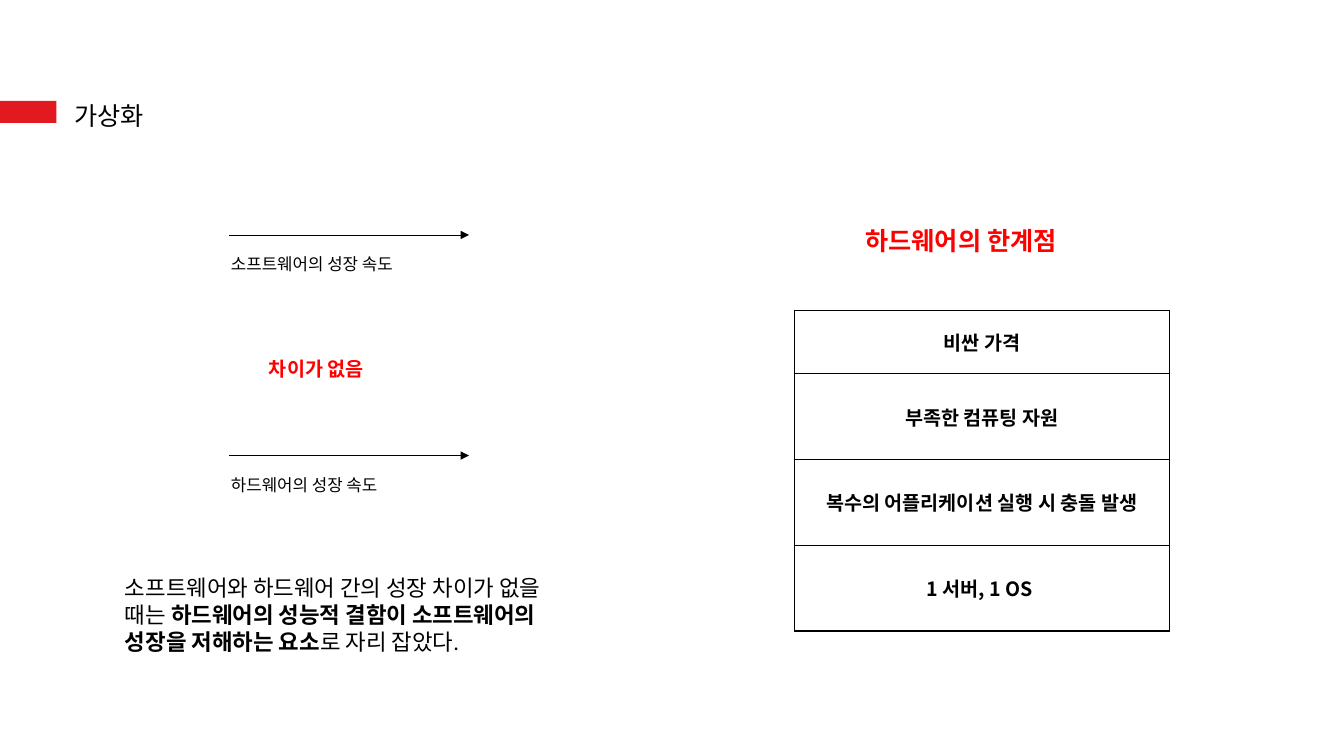
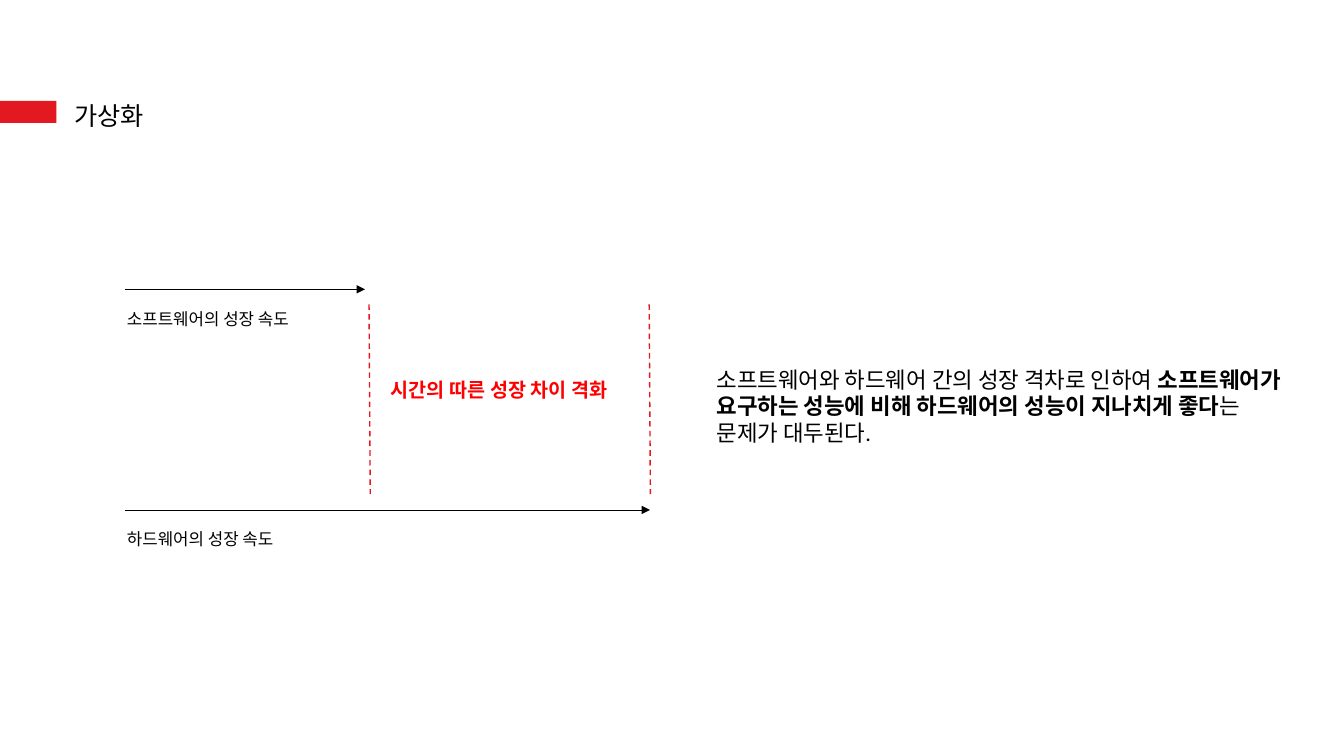
"""Build two slides on virtualization and the growth of software and hardware."""
from dataclasses import dataclass

import lxml.etree
import pptx
import pptx.dml.color
import pptx.enum.dml
import pptx.enum.shapes
import pptx.enum.text
import pptx.oxml.ns
import pptx.util

Cm = pptx.util.Cm
Pt = pptx.util.Pt
RGB = pptx.dml.color.RGBColor
qn = pptx.oxml.ns.qn


@dataclass(frozen=True)
class Theme:
    black: RGB = RGB(0x00, 0x00, 0x00)
    accent: RGB = RGB(0xE3, 0x19, 0x21)
    emphasis: RGB = RGB(0xFF, 0x00, 0x00)
    font: str = "Calibri"
    korean_font: str = "Noto Sans CJK KR"
    title_size: int = 18
    body_size: int = 16
    strong_size: int = 14
    label_size: int = 12
    arrow_width: float = 0.5
    rule_width: float = 1


THEME = Theme()


@dataclass(frozen=True)
class Run:
    text: str
    bold: bool = False
    font: str = THEME.font


@dataclass(frozen=True)
class Box:
    left: float
    top: float
    width: float
    height: float
    runs: tuple[Run, ...]
    size: int
    color: RGB = THEME.black


@dataclass(frozen=True)
class GrowthArrow:
    left: float
    top: float
    length: float
    label: str


ARROW_GAP = 5.56
SHORT_ARROW = 6.05
LONG_ARROW = 13.23
SOFTWARE = "소프트웨어의 성장 속도"
HARDWARE = "하드웨어의 성장 속도"
TITLE = Box(1.63, 2.41, 7.62, 1.02, (Run("가상화"),), THEME.title_size)

LIMITS = (
    Run("비싼 가격", True, THEME.korean_font),
    Run("부족한 컴퓨팅 자원", True, THEME.korean_font),
    Run("복수의 어플리케이션 실행 시 충돌 발생", True),
    Run("1 서버, 1 OS ", True, THEME.korean_font),
)
LIMIT_ROWS = (1.6, 2.16, 2.16, 2.16)

EQUAL_GROWTH = (
    Box(2.9, 14.35, 12.09, 2.31, (
        Run("소프트웨어와 하드웨어 간의 성장 차이가 없을 때는 "),
        Run("하드웨어의 성능적 결함이 소프트웨어의 성장을 저해하는 요소", True),
        Run("로 자리 잡았다."),
    ), THEME.body_size),
    Box(6.53, 8.86, 4.57, 0.86, (Run("차이가 없음", True),),
        THEME.strong_size, THEME.emphasis),
    Box(21.56, 5.56, 7.82, 1.02, (Run("하드웨어의 한계점", True),),
        THEME.title_size, THEME.emphasis),
)
GROWTH_GAP = (
    Box(17.81, 9.09, 14.94, 2.31, (
        Run("소프트웨어와 하드웨어 간의 성장 격차로 인하여 "),
        Run("소프트웨어가 요구하는 성능에 비해 하드웨어의 성능이 지나치게 좋다", True),
        Run("는 문제가 대두된다."),
    ), THEME.body_size),
    Box(9.6, 9.4, 6.45, 0.86, (Run("시간의 따른 성장 차이 격화", True),),
        THEME.strong_size, THEME.emphasis),
)


def add_run(p, run: Run, size: int, color: RGB) -> None:
    r = p.add_run()
    r.text = run.text
    r.font.name = run.font
    r.font.size = Pt(size)
    r.font.bold = run.bold
    r.font.color.rgb = color
    ea = lxml.etree.Element(qn("a:ea"), typeface=THEME.korean_font)
    r.font._element.find(qn("a:latin")).addnext(ea)


def add_text(s, box: Box) -> None:
    sp = s.shapes.add_textbox(Cm(box.left), Cm(box.top), Cm(box.width), Cm(box.height))
    tf = sp.text_frame
    tf.word_wrap = True
    tf.auto_size = pptx.enum.text.MSO_AUTO_SIZE.SHAPE_TO_FIT_TEXT
    for run in box.runs:
        add_run(tf.paragraphs[0], run, box.size, box.color)


def add_line(s, x1: float, y1: float, x2: float, y2: float, color: RGB, width: float):
    line = s.shapes.add_connector(
        pptx.enum.shapes.MSO_CONNECTOR.STRAIGHT, Cm(x1), Cm(y1), Cm(x2), Cm(y2))
    line.line.color.rgb = color
    line.line.width = Pt(width)
    lxml.etree.SubElement(line._element.spPr, qn("a:effectLst"))
    return line


def add_growth_arrow(s, arrow: GrowthArrow) -> None:
    line = add_line(s, arrow.left, arrow.top, arrow.left + arrow.length, arrow.top,
                    THEME.black, THEME.arrow_width)
    ln = line._element.spPr.find(qn("a:ln"))
    lxml.etree.SubElement(ln, qn("a:tailEnd"), type="triangle")
    add_text(s, Box(arrow.left - 0.2, arrow.top + 0.36, 5.23, 0.76,
                    (Run(arrow.label),), THEME.label_size))


def add_growth_pair(s, left: float, top: float, hardware_length: float) -> None:
    add_growth_arrow(s, GrowthArrow(left, top, SHORT_ARROW, SOFTWARE))
    add_growth_arrow(s, GrowthArrow(left, top + ARROW_GAP, hardware_length, HARDWARE))


def add_borders(cell) -> None:
    tcPr = cell._tc.get_or_add_tcPr()
    for side in ("a:lnL", "a:lnR", "a:lnT", "a:lnB"):
        ln = lxml.etree.SubElement(tcPr, qn(side), w=str(Pt(THEME.rule_width)))
        fill = lxml.etree.SubElement(ln, qn("a:solidFill"))
        lxml.etree.SubElement(fill, qn("a:srgbClr"), val=str(THEME.black))


def add_limits_table(s) -> None:
    table = s.shapes.add_table(len(LIMITS), 1, Cm(20.02), Cm(7.82),
                               Cm(9.45), Cm(sum(LIMIT_ROWS))).table
    table.first_row = False
    table.horz_banding = False
    for i, (run, height) in enumerate(zip(LIMITS, LIMIT_ROWS)):
        table.rows[i].height = Cm(height)
        cell = table.cell(i, 0)
        add_borders(cell)
        cell.fill.background()
        cell.vertical_anchor = pptx.enum.text.MSO_ANCHOR.MIDDLE
        p = cell.text_frame.paragraphs[0]
        p.alignment = pptx.enum.text.PP_ALIGN.CENTER
        add_run(p, run, THEME.strong_size, THEME.black)


def add_slide(prs, boxes: tuple[Box, ...]):
    s = prs.slides.add_slide(prs.slide_layouts[6])
    band = s.shapes.add_shape(pptx.enum.shapes.MSO_SHAPE.RECTANGLE,
                              Cm(0), Cm(2.54), Cm(1.42), Cm(0.56))
    band.shadow.inherit = False
    band.fill.solid()
    band.fill.fore_color.rgb = THEME.accent
    band.line.fill.background()
    for box in (TITLE, *boxes):
        add_text(s, box)
    return s


def main() -> None:
    prs = pptx.Presentation()
    prs.slide_width = Cm(33.87)
    prs.slide_height = Cm(19.05)

    s = add_slide(prs, EQUAL_GROWTH)
    add_growth_pair(s, 5.77, 5.92, SHORT_ARROW)
    add_limits_table(s)

    s = add_slide(prs, GROWTH_GAP)
    add_growth_pair(s, 3.15, 7.29, LONG_ARROW)
    for x in (9.3, 16.36):
        guide = add_line(s, x, 7.67, x + 0.03, 12.45, THEME.accent, THEME.rule_width)
        guide.line.dash_style = pptx.enum.dml.MSO_LINE.DASH

    prs.save("out.pptx")


if __name__ == "__main__":
    main()
